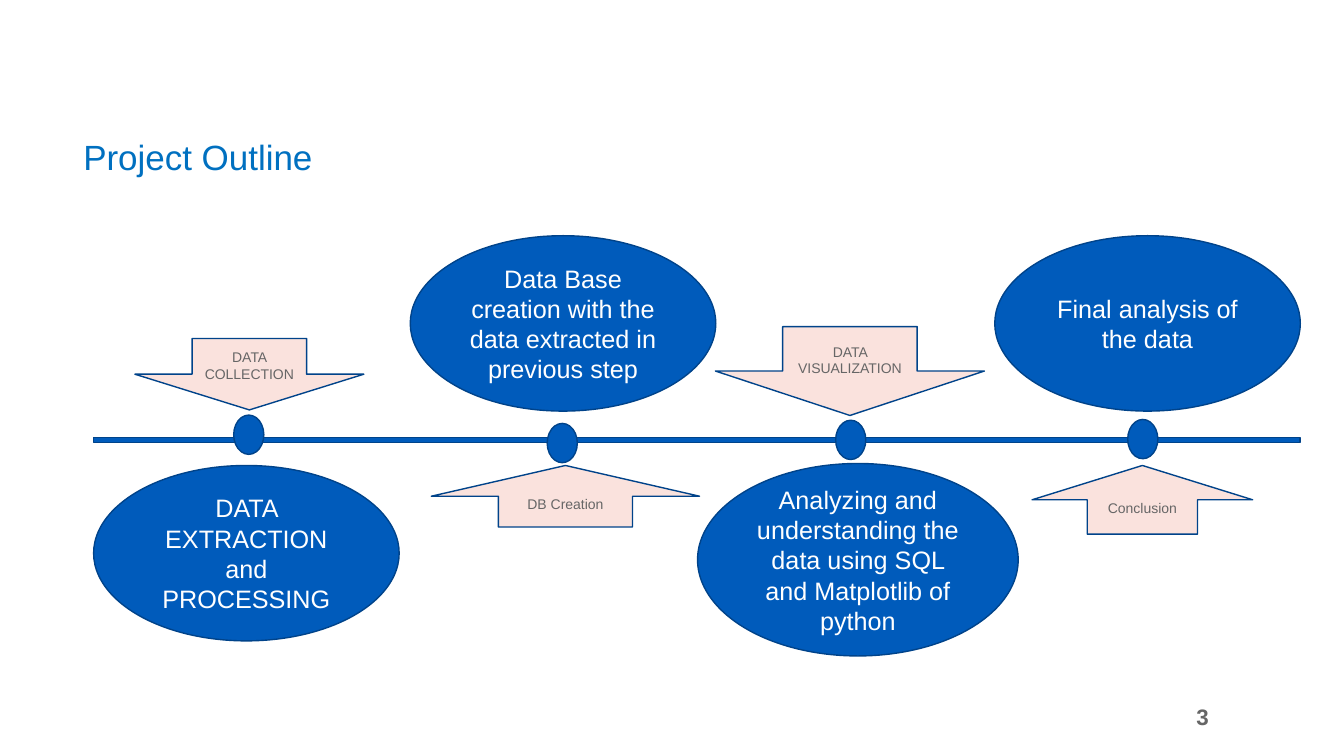
from dataclasses import dataclass

from pptx import Presentation
from pptx.dml.color import RGBColor
from pptx.enum.shapes import MSO_SHAPE
from pptx.enum.text import MSO_ANCHOR, PP_ALIGN
from pptx.util import Cm, Pt


@dataclass(frozen=True)
class Theme:
    font: str = "Arial"
    blue: str = "005BBB"
    outline: str = "00438A"
    blush: str = "FAE2DD"
    white: str = "FFFFFF"
    grey: str = "666666"
    title: str = "0070C0"
    title_size: int = 25
    body_size: int = 18
    number_size: int = 16
    label_size: int = 10


class OutlineSlide:
    def __init__(self, prs, theme):
        self.theme = theme
        self.slide = prs.slides.add_slide(prs.slide_layouts[6])

    def set_text(self, sp, text, size, color, align, anchor=MSO_ANCHOR.MIDDLE, bold=False):
        tf = sp.text_frame
        tf.text = text
        tf.word_wrap = True
        tf.vertical_anchor = anchor
        p = tf.paragraphs[0]
        p.alignment = align
        font = p.runs[0].font
        font.name = self.theme.font
        font.size = Pt(size)
        font.bold = bold
        font.color.rgb = RGBColor.from_string(color)

    def text_box(self, box, text, size, color, **style):
        sp = self.slide.shapes.add_textbox(*map(Cm, box))
        self.set_text(sp, text, size, color, **style)

    def shape(self, kind, box, fill):
        sp = self.slide.shapes.add_shape(kind, *map(Cm, box))
        sp.shadow.inherit = False
        sp.fill.solid()
        sp.fill.fore_color.rgb = RGBColor.from_string(fill)
        sp.line.color.rgb = RGBColor.from_string(self.theme.outline)
        sp.line.width = Pt(1)
        return sp

    def bubble(self, box, text):
        sp = self.shape(MSO_SHAPE.OVAL, box, self.theme.blue)
        self.set_text(sp, text, self.theme.body_size, self.theme.white, PP_ALIGN.CENTER)

    def axis(self, box):
        self.shape(MSO_SHAPE.RECTANGLE, box, self.theme.blue)

    def marker(self, left, top):
        self.shape(MSO_SHAPE.OVAL, (left, top, 0.76, 0.99), self.theme.blue)

    def arrow(self, kind, box, text):
        sp = self.shape(kind, box, self.theme.blush)
        self.set_text(sp, text, self.theme.label_size, self.theme.grey, PP_ALIGN.CENTER)


DOWN, UP = MSO_SHAPE.DOWN_ARROW, MSO_SHAPE.UP_ARROW
BUBBLE = (7.7, 4.42)
UPPER, LOWER = 5.94, 11.73

# Bubble box and text, marker position, arrow kind, box and label
STEPS = [
    ((2.36, LOWER, *BUBBLE), "DATA EXTRACTION and PROCESSING",
     (5.89, 10.46), DOWN, (3.4, 8.53, 5.77, 1.8), "DATA COLLECTION"),
    ((10.34, UPPER, *BUBBLE), "Data Base creation with the data extracted in previous step",
     (13.79, 10.67), UP, (10.87, LOWER, 6.76, 1.55), "DB Creation"),
    ((17.58, 11.68, 8.08, 4.85),
     "Analyzing and understanding the data using SQL and Matplotlib of python",
     (21.06, 10.59), DOWN, (18.03, 8.23, 6.78, 2.24), "DATA VISUALIZATION"),
    ((25.07, UPPER, *BUBBLE), "Final analysis of the data",
     (28.42, 10.57), UP, (26.01, LOWER, 5.56, 1.73), "Conclusion"),
]


def main():
    prs = Presentation()
    prs.slide_width, prs.slide_height = Cm(33.87), Cm(19.05)
    theme = Theme()
    s = OutlineSlide(prs, theme)

    s.text_box((1.85, 3.28, 16.94, 1.32), "Project Outline", theme.title_size, theme.title,
               align=PP_ALIGN.LEFT, anchor=MSO_ANCHOR.TOP)
    s.axis((2.36, 11.02, 30.4, 0.13))
    for bubble_box, summary, marker, kind, arrow_box, label in STEPS:
        s.bubble(bubble_box, summary)
        s.marker(*marker)
        s.arrow(kind, arrow_box, label)
    s.text_box((19.28, 17.55, 11.43, 1.02), "3", theme.number_size, theme.grey,
               align=PP_ALIGN.RIGHT, bold=True)

    prs.save("out.pptx")


if __name__ == "__main__":
    main()
